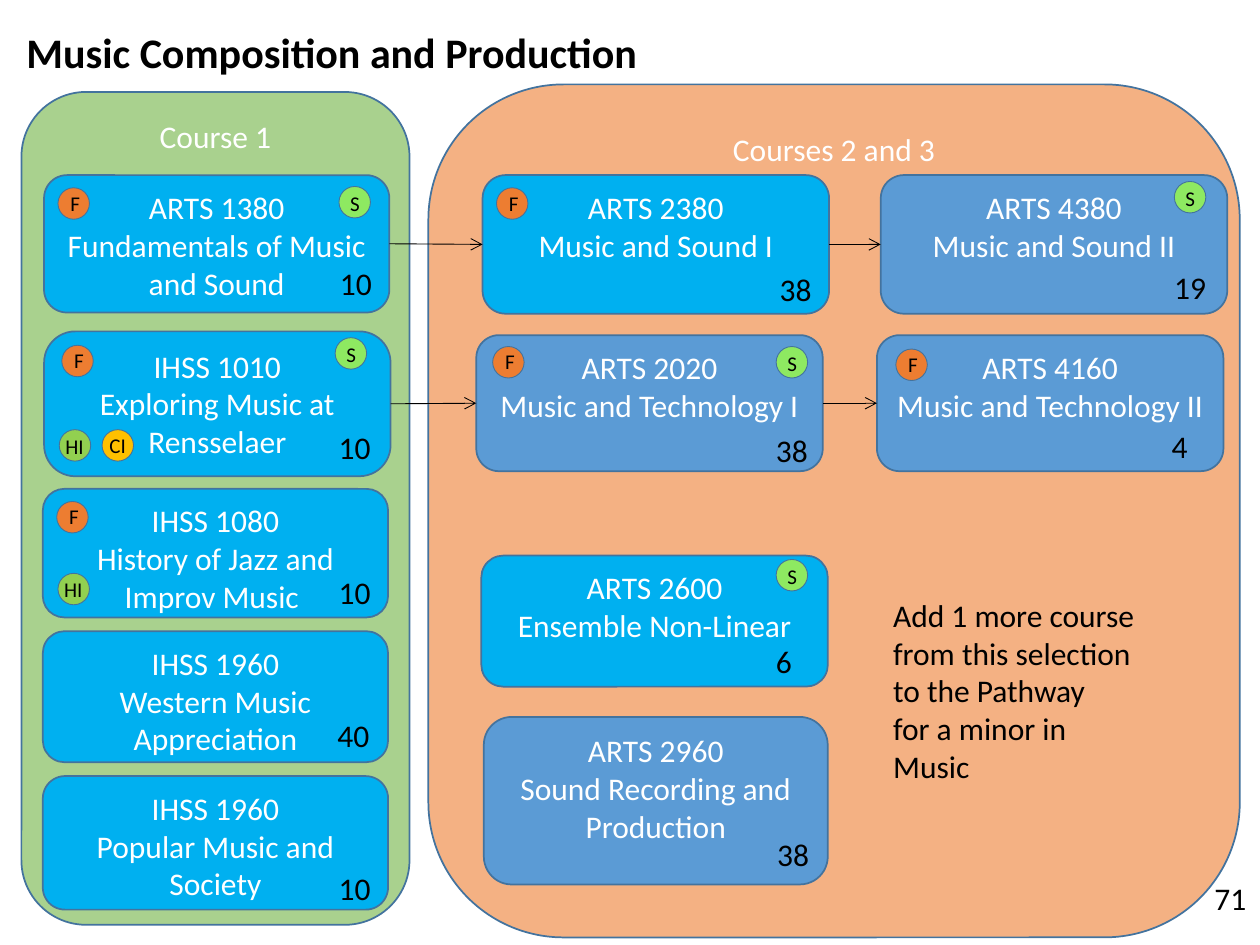
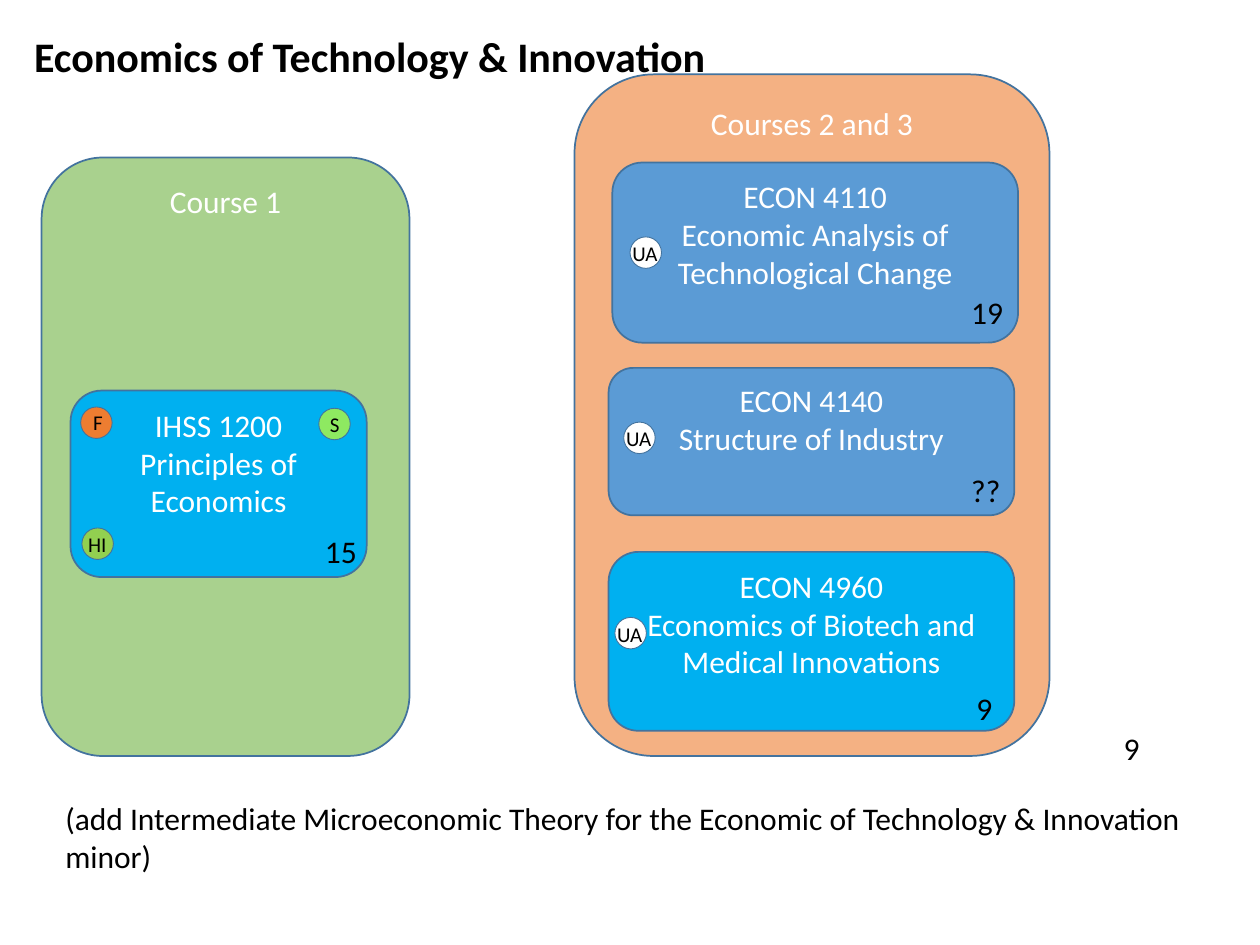
from lxml.etree import SubElement
from pptx import Presentation
from pptx.dml.color import RGBColor
from pptx.enum.shapes import MSO_CONNECTOR as LINE, MSO_SHAPE as SHAPE
from pptx.enum.text import MSO_ANCHOR as ANCHOR, MSO_AUTO_SIZE as FIT, PP_ALIGN as ALIGN
from pptx.oxml.ns import qn
from pptx.util import Pt

PX = 9144  # 100 px to the inch
FONT = "Calibri"
COLORS = {
    "panel_first": "A9D18E", "panel_next": "F4B183",
    "bright": "00B0F0", "steel": "5B9BD5", "outline": "43739E",
    "orange": "ED7D31", "lime": "8EE961", "green": "92D050", "gold": "FFC000",
    "white": "FFFFFF", "black": "000000",
}
RIGHT_SIDE, LEFT_SIDE = 3, 1
BADGE_SIZE = 25
# Fill, then the label's offset from the circle and its width
BADGES = {
    "F": ("orange", 0, -3, 28),
    "S": ("lime", -1, -2, 28),
    "HI": ("green", -5, -2, 35),
    "CI": ("gold", -4, -3, 33),
    "UA": ("white", -8, -2, 41),
}
SEAT_WIDTHS = {1: 33, 2: 46}

# Cards: code, name, fill, box, seats, seats corner, badges
MUSIC_CARDS = [
    ("ARTS 1380", "Fundamentals of Music and Sound", "bright", (35, 139, 274, 109),
     "10", (260, 205), [("F", 46, 149), ("S", 269, 148)]),
    ("IHSS 1010", "Exploring Music at Rensselaer", "bright", (35, 263, 275, 115),
     "10", (259, 335), [("F", 49, 274), ("S", 266, 268), ("HI", 47, 341), ("CI", 81, 341)]),
    ("IHSS 1080", "History of Jazz and Improv Music ", "bright", (34, 388, 274, 102),
     "10", (259, 450), [("F", 45, 398), ("HI", 46, 455)]),
    ("IHSS 1960", "Western Music Appreciation", "bright", (34, 501, 274, 104),
     "40", (258, 563), []),
    ("IHSS 1960", "Popular Music and Society", "bright", (34, 616, 274, 106),
     "10", (259, 685), []),
    ("ARTS 2380", "Music and Sound I", "bright", (383, 139, 275, 110),
     "38", (609, 209), [("F", 394, 149)]),
    ("ARTS 4380", "Music and Sound II", "steel", (699, 139, 275, 110),
     "19", (922, 208), [("S", 932, 144)]),
    ("ARTS 2020", "Music and Technology I", "steel", (378, 266, 275, 108),
     "38", (606, 337), [("F", 391, 275), ("S", 616, 275)]),
    ("ARTS 4160", "Music and Technology II", "steel", (696, 266, 275, 108),
     "4", (920, 334), [("F", 711, 277)]),
    ("ARTS 2600", "Ensemble Non-Linear", "bright", (382, 441, 275, 104),
     "6", (606, 505), [("S", 616, 444)]),
    ("ARTS 2960", "Sound Recording and Production", "steel", (384, 569, 273, 133),
     "38", (607, 658), []),
]
MUSIC_SEQUENCES = [("ARTS 1380", "ARTS 2380", "ARTS 4380"),
                   ("IHSS 1010", "ARTS 2020", "ARTS 4160")]
MUSIC_NOTE = ["Add 1 more course", "from this selection", "to the Pathway",
              "for a minor in", "Music"]

ECONOMICS_CARDS = [
    ("IHSS 1200", "Principles of Economics", "bright", (56, 310, 235, 148),
     "15", (248, 417), [("F", 64, 323), ("S", 253, 324), ("HI", 65, 419)]),
    ("ECON 4110", "Economic Analysis of Technological Change", "steel", (486, 129, 322, 143),
     "19", (761, 228), [("UA", 500, 188)]),
    ("ECON 4140", "Structure of Industry", "steel", (483, 292, 322, 117),
     "??", (761, 369), [("UA", 495, 335)]),
    ("ECON 4960", "Economics of Biotech and Medical Innovations", "bright",
     (483, 438, 322, 142), "9", (765, 542), [("UA", 488, 490)]),
]
ECONOMICS_NOTE = ["(add Intermediate Microeconomic Theory for the Economic of "
                  "Technology & Innovation minor)"]


def emu(box):
    return [length * PX for length in box]


def color(name):
    return RGBColor.from_string(COLORS[name])


def write(frame, lines, size=18, ink="black", align=ALIGN.LEFT, bold=False):
    frame.vertical_anchor = ANCHOR.TOP
    for number, line in enumerate(lines):
        para = frame.add_paragraph() if number else frame.paragraphs[0]
        para.alignment = align
        span = para.add_run()
        span.text = line
        span.font.name = FONT
        span.font.size = Pt(size)
        span.font.bold = bold
        span.font.color.rgb = color(ink)


def add_text(shapes, box, lines, size=18, wrap=False):
    frame = shapes.add_textbox(*emu(box)).text_frame
    frame.word_wrap = wrap
    frame.auto_size = FIT.SHAPE_TO_FIT_TEXT
    write(frame, lines, size)


def add_filled(shapes, kind, box, fill, line_width=1):
    shape = shapes.add_shape(kind, *emu(box))
    shape.shadow.inherit = False
    shape.fill.solid()
    shape.fill.fore_color.rgb = color(fill)
    shape.line.color.rgb = color("outline")
    shape.line.width = Pt(line_width)
    return shape


def add_block(page, box, fill, lines):
    block = add_filled(page.shapes, SHAPE.ROUNDED_RECTANGLE, box, fill)
    block.text_frame.word_wrap = True
    write(block.text_frame, lines, ink="white", align=ALIGN.CENTER)
    return block


def add_badge(page, label, left, top):
    fill, shift_x, shift_y, width = BADGES[label]
    group = page.shapes.add_group_shape()
    add_filled(group.shapes, SHAPE.OVAL, (left, top, BADGE_SIZE, BADGE_SIZE), fill, 0.5)
    add_text(group.shapes, (left + shift_x, top + shift_y, width, 30), [label], 12)


def add_seats(page, seats, corner):
    add_text(page.shapes, (*corner, SEAT_WIDTHS[len(seats)], 40), [seats])


def add_cards(page, cards):
    blocks = {}
    for code, name, fill, box, seats, corner, badges in cards:
        blocks[code] = add_block(page, box, fill, [code, name])
        add_seats(page, seats, corner)
        for badge in badges:
            add_badge(page, *badge)
    return blocks


def add_arrow(page, start, end):
    arrow = page.shapes.add_connector(LINE.STRAIGHT, 0, 0, 0, 0)
    arrow.begin_connect(start, RIGHT_SIDE)
    arrow.end_connect(end, LEFT_SIDE)
    arrow.line.color.rgb = color("black")
    arrow.line.width = Pt(0.5)
    properties = arrow.element.spPr
    SubElement(properties.find(qn("a:ln")), qn("a:tailEnd"), type="arrow")
    SubElement(properties, qn("a:effectLst"))


def add_page(deck, title, title_box, first_box, next_box):
    """Start a page with its title and the two course panels."""
    page = deck.slides.add_slide(deck.slide_layouts[5])
    heading = page.shapes.title
    heading.left, heading.top, heading.width, heading.height = emu(title_box)
    heading.text_frame.word_wrap = False
    heading.text_frame.auto_size = FIT.SHAPE_TO_FIT_TEXT
    write(heading.text_frame, [title], size=24, bold=True)
    add_block(page, first_box, "panel_first", ["Course 1"])
    panel = add_block(page, next_box, "panel_next", ["Courses 2 and 3"])
    panel.element.addnext(heading.element)  # the title lies over the panels
    return page


def add_music(deck):
    page = add_page(deck, "Music Composition and Production", (11, 16, 510, 50),
                    (17, 73, 308, 661), (340, 67, 644, 677))
    blocks = add_cards(page, MUSIC_CARDS)
    blocks["IHSS 1010"].adjustments[0] = 0.215
    for sequence in MUSIC_SEQUENCES:
        for before, after in zip(sequence, sequence[1:]):
            add_arrow(page, blocks[before], blocks[after])
    add_text(page.shapes, (699, 468, 217, 162), MUSIC_NOTE)
    add_seats(page, "71", (954, 693))


def add_economics(deck):
    page = add_page(deck, "Economics of Technology & Innovation", (17, 19, 558, 50),
                    (33, 125, 292, 475), (456, 59, 377, 541))
    add_cards(page, ECONOMICS_CARDS)
    add_text(page.shapes, (42, 629, 950, 71), ECONOMICS_NOTE, wrap=True)
    add_seats(page, "9", (882, 574))


def main():
    deck = Presentation()
    deck.slide_width, deck.slide_height = emu((1000, 750))
    add_music(deck)
    add_economics(deck)
    deck.save("out.pptx")


if __name__ == "__main__":
    main()
